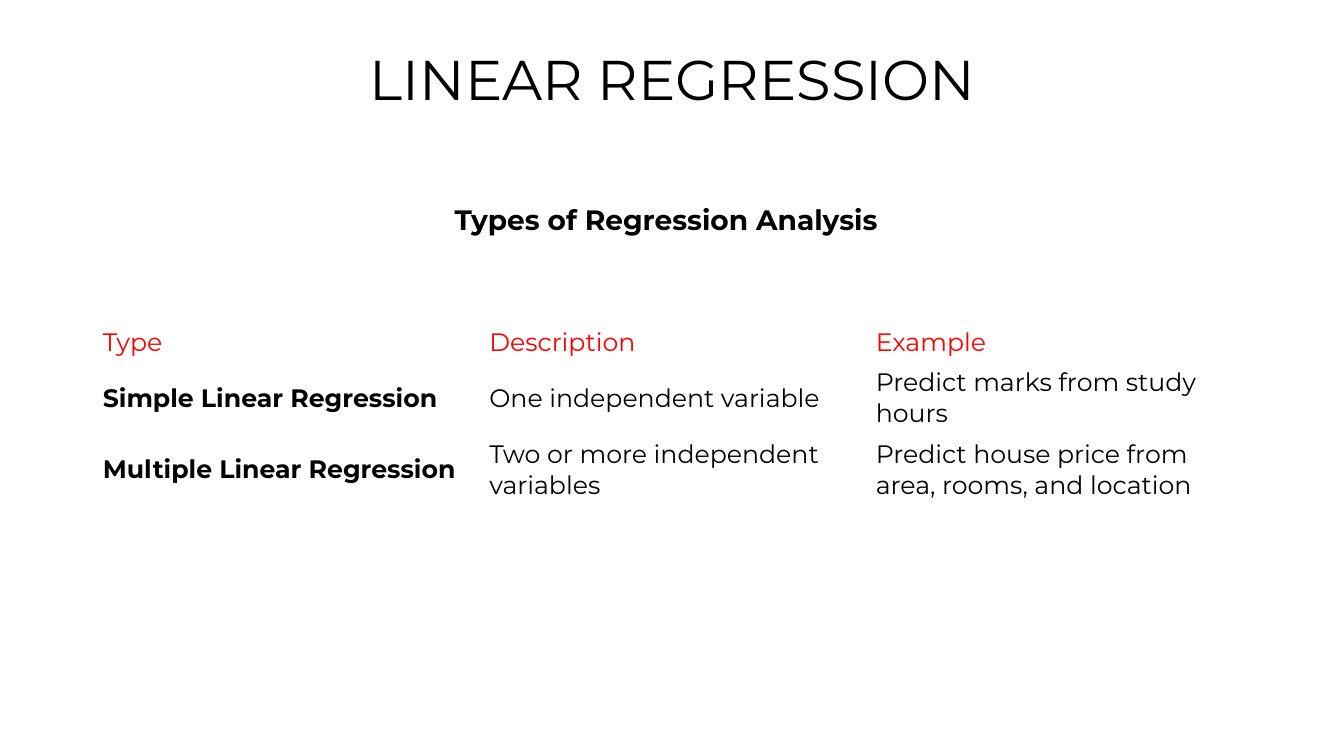
from typing import NamedTuple

from pptx import Presentation
from pptx.dml.color import RGBColor
from pptx.enum.text import MSO_ANCHOR, MSO_AUTO_SIZE, PP_ALIGN
from pptx.util import Inches, Pt

FONT = "Montserrat"
BLACK = RGBColor(0x00, 0x00, 0x00)
RED = RGBColor(0xFF, 0x00, 0x00)


class TextStyle(NamedTuple):
    size: int
    color: RGBColor = BLACK
    bold: bool = False


TITLE = TextStyle(40)
SUBTITLE = TextStyle(20, bold=True)
HEADER = TextStyle(18, RED)
TYPE_NAME = TextStyle(18, bold=True)
BODY = TextStyle(18)


class RegressionType(NamedTuple):
    name: str
    description: str
    example: str


HEADINGS = RegressionType("Type", "Description", "Example")
REGRESSION_TYPES = [
    RegressionType("Simple Linear Regression", "One independent variable",
                   "Predict marks from study hours"),
    RegressionType("Multiple Linear Regression", "Two or more independent variables",
                   "Predict house price from area, rooms, and location"),
]
ROW_HEIGHTS = [0.4, 0.7, 0.7]


def write(frame, text: str, style: TextStyle) -> None:
    """Set the frame's text as one run in the given style."""
    run = frame.paragraphs[0].add_run()
    run.text = text
    run.font.name = FONT
    run.font.size = Pt(style.size)
    run.font.bold = style.bold
    run.font.color.rgb = style.color


def add_title(slide, text: str) -> None:
    title = slide.shapes.title
    title.left, title.top = Inches(1.67), Inches(0.29)
    title.width, title.height = Inches(10), Inches(0.88)
    frame = title.text_frame
    frame.vertical_anchor = MSO_ANCHOR.BOTTOM
    frame.auto_size = MSO_AUTO_SIZE.NONE
    write(frame, text, TITLE)
    frame.paragraphs[0].alignment = PP_ALIGN.CENTER
    frame.paragraphs[0].line_spacing = 0.9


def add_subtitle(slide, text: str) -> None:
    box = slide.shapes.add_textbox(Inches(4.41), Inches(1.96), Inches(4.79), Inches(0.44))
    box.text_frame.word_wrap = True
    box.text_frame.auto_size = MSO_AUTO_SIZE.SHAPE_TO_FIT_TEXT
    write(box.text_frame, text, SUBTITLE)


def add_types_table(slide) -> None:
    rows = [HEADINGS, *REGRESSION_TYPES]
    table = slide.shapes.add_table(
        len(rows), len(HEADINGS), Inches(0.92), Inches(3.19),
        Inches(11.5), Inches(sum(ROW_HEIGHTS))).table
    table.first_row = table.horz_banding = False
    for row, height in zip(table.rows, ROW_HEIGHTS):
        row.height = Inches(height)

    for r, entry in enumerate(rows):
        for c, text in enumerate(entry):
            cell = table.cell(r, c)
            cell.fill.background()
            cell.vertical_anchor = MSO_ANCHOR.MIDDLE
            style = HEADER if r == 0 else TYPE_NAME if c == 0 else BODY
            write(cell.text_frame, text, style)


# Slide
prs = Presentation()
prs.slide_width, prs.slide_height = Inches(13.33), Inches(7.5)
slide = prs.slides.add_slide(prs.slide_layouts.get_by_name("Title Only"))

# Content
add_title(slide, "LINEAR REGRESSION")
add_types_table(slide)
add_subtitle(slide, "Types of Regression Analysis")

prs.save("out.pptx")
